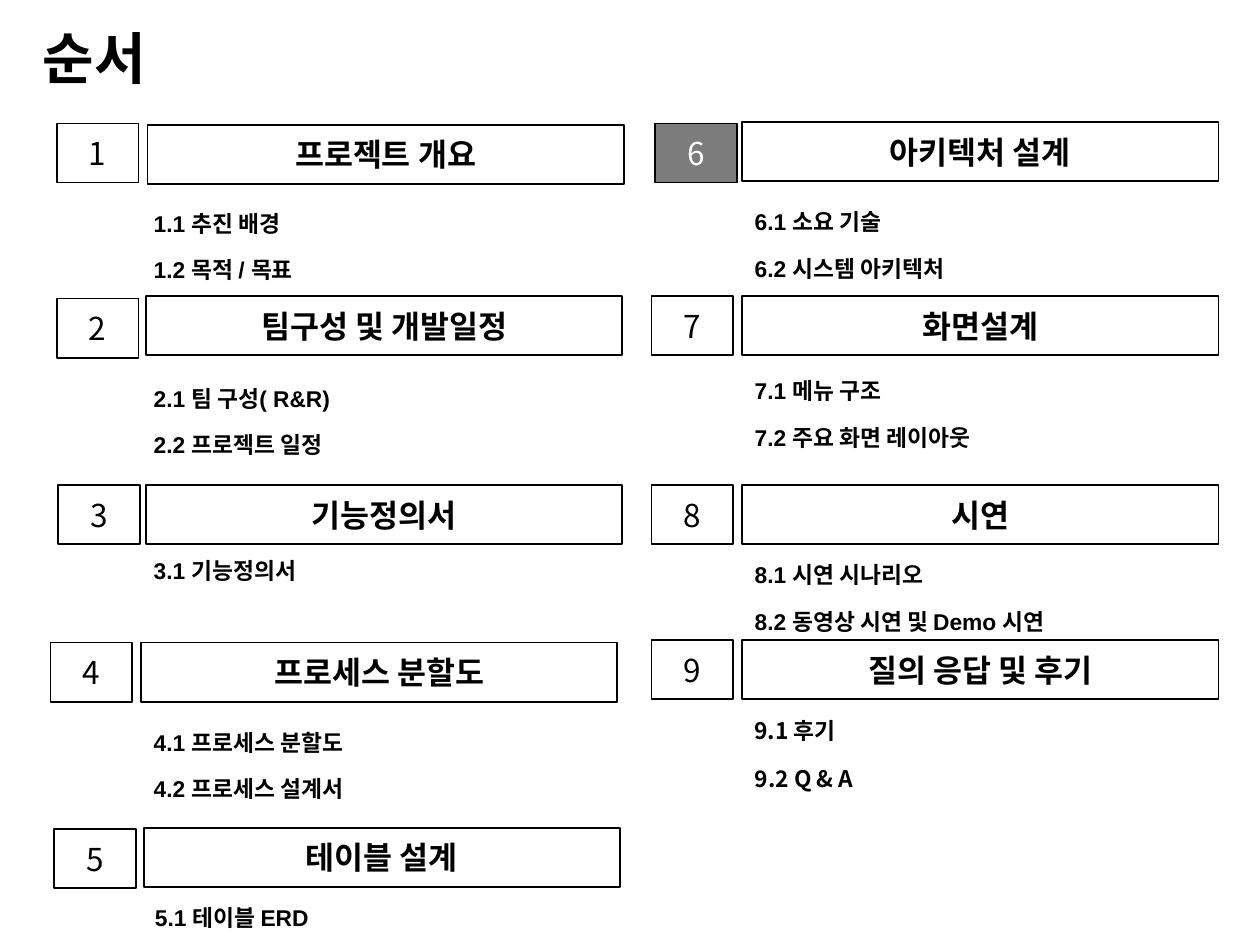
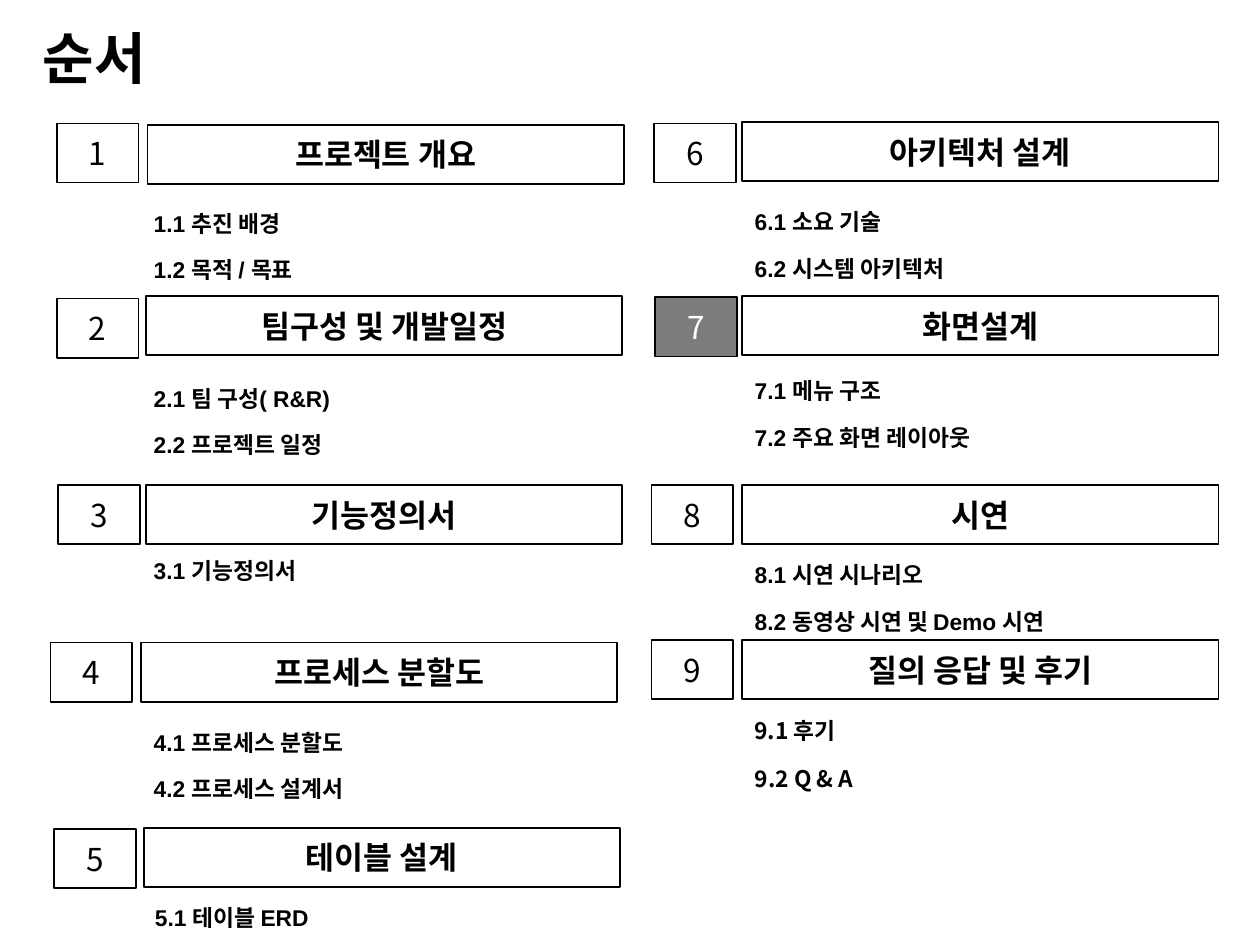
import collections

import lxml.etree
import pptx
import pptx.dml.color
import pptx.enum.shapes
import pptx.enum.text
import pptx.oxml.ns
import pptx.util

PX = 9144  # EMU per px, 100 px to the inch
COLORS = {"ink": "000000", "active": "7C7C7C", "paper": "FFFFFF"}
SANS, ARIAL = "Noto Sans CJK KR", "Arial"
BADGE_W, BAR_W, BOX_H = 65, 378, 47
ACTIVE_BADGE_X = 520

ALIGN = pptx.enum.text.PP_ALIGN
ANCHOR = pptx.enum.text.MSO_ANCHOR
AUTO_SIZE = pptx.enum.text.MSO_AUTO_SIZE

Section = collections.namedtuple("Section", "number badge bar title")
ItemList = collections.namedtuple("ItemList", "at lines font", defaults=[ARIAL])

SECTIONS = [
    Section(1, (45, 98), (117, 99), "프로젝트 개요"),
    Section(2, (45, 237), (116, 235), "팀구성 및 개발일정"),
    Section(3, (46, 385), (116, 385), "기능정의서"),
    Section(4, (40, 510), (112, 510), "프로세스 분할도"),
    Section(5, (43, 658), (114, 657), "테이블 설계"),
    Section(6, (519, 98), (589, 97), "아키텍처 설계"),
    Section(7, (517, 235), (589, 235), "화면설계"),
    Section(8, (517, 385), (589, 385), "시연"),
    Section(9, (517, 508), (589, 508), "질의 응답 및 후기"),
]

ITEM_LISTS = [
    ItemList((115, 157, 378, 76), [" 1.1 추진 배경", " 1.2 목적 / 목표"]),
    ItemList((120, 296, 378, 75), ["2.1 팀 구성( R&R)", "2.2 프로젝트 일정"]),
    ItemList((120, 433, 378, 36), ["3.1 기능정의서"]),
    ItemList((120, 569, 378, 75), ["4.1 프로세스 분할도", "4.2 프로세스 설계서"]),
    ItemList((121, 708, 378, 36), ["5.1 테이블 ERD"]),
    ItemList((597, 156, 374, 76), ["6.1 소요 기술", "6.2 시스템 아키텍처"]),
    ItemList((597, 290, 374, 76), ["7.1 메뉴 구조", "7.2 주요 화면 레이아웃"]),
    ItemList((597, 436, 374, 76), ["8.1 시연 시나리오", "8.2 동영상 시연 및 Demo 시연"]),
    ItemList((597, 598, 371, 36), ["9.2 Q & A"], SANS),
]


def px(*lengths):
    return [pptx.util.Emu(n * PX) for n in lengths]


def rgb(name):
    return pptx.dml.color.RGBColor.from_string(COLORS[name])


class AgendaDeck:
    def __init__(self):
        self.prs = pptx.Presentation()
        self.prs.slide_width, self.prs.slide_height = px(1000, 750)
        self.s = None

    def new_slide(self, title):
        self.s = self.prs.slides.add_slide(self.prs.slide_layouts[5])
        sp = self.s.shapes.title
        sp.left, sp.top, sp.width, sp.height = px(24, 15, 112, 67)
        tf = sp.text_frame
        tf.auto_size = AUTO_SIZE.NONE
        tf.vertical_anchor = ANCHOR.MIDDLE
        p = tf.paragraphs[0]
        p.alignment = ALIGN.LEFT
        p.line_spacing = 0.9
        self.run(p, title, 32)

    def run(self, p, text, size, font=SANS, color="ink", bold=True):
        r = p.add_run()
        r.text = text
        r.font.name = font
        r.font.size = pptx.util.Pt(size)
        r.font.bold = bold
        r.font.color.rgb = rgb(color)
        east_asian = lxml.etree.SubElement(r.font._element, pptx.oxml.ns.qn("a:ea"))
        east_asian.set("typeface", SANS)

    def box(self, at, width, text, bold=True, fill=None, color="ink"):
        """Outlined rectangle with one centred line of text."""
        sp = self.s.shapes.add_shape(
            pptx.enum.shapes.MSO_SHAPE.RECTANGLE, *px(*at, width, BOX_H))
        sp.shadow.inherit = False
        if fill:
            sp.fill.solid()
            sp.fill.fore_color.rgb = rgb(fill)
        else:
            sp.fill.background()
        sp.line.color.rgb = rgb("ink")
        sp.line.width = pptx.util.Pt(1)
        tf = sp.text_frame
        tf.vertical_anchor = ANCHOR.MIDDLE
        p = tf.paragraphs[0]
        p.alignment = ALIGN.CENTER
        self.run(p, text, 18, color=color, bold=bold)

    def section(self, section, active):
        self.box(section.bar, BAR_W, section.title)
        if active:
            at = (ACTIVE_BADGE_X, section.bar[1] + 1)
            self.box(at, BADGE_W, str(section.number), False, "active", "paper")
        else:
            self.box(section.badge, BADGE_W, str(section.number), False)

    def text_box(self, at, wrap):
        tf = self.s.shapes.add_textbox(*px(*at)).text_frame
        tf.word_wrap = wrap
        tf.auto_size = AUTO_SIZE.SHAPE_TO_FIT_TEXT
        return tf

    def item_list(self, items):
        tf = self.text_box(items.at, True)
        tf.margin_left, tf.margin_right = px(2, 2)
        for i, line in enumerate(items.lines):
            p = tf.add_paragraph() if i else tf.paragraphs[0]
            p.alignment = ALIGN.JUSTIFY
            p.line_spacing = 1.2
            self.space_before_percent(p, 60)
            self.run(p, line, 13, items.font)

    def space_before_percent(self, p, percent):
        p.space_before = pptx.util.Pt(0)
        spacing = p._p.pPr.find(pptx.oxml.ns.qn("a:spcBef"))
        spacing.remove(spacing[0])
        share = lxml.etree.SubElement(spacing, pptx.oxml.ns.qn("a:spcPct"))
        share.set("val", str(percent * 1000))

    def label(self, at, text):
        self.run(self.text_box(at, False).paragraphs[0], text, 13)


def main():
    deck = AgendaDeck()
    for active_number in (6, 7):
        deck.new_slide("순서")
        for items in ITEM_LISTS:
            deck.item_list(items)
        deck.label((589, 564, 89, 32), "9.1 후기")
        for section in SECTIONS:
            deck.section(section, section.number == active_number)
    deck.prs.save("out.pptx")


if __name__ == "__main__":
    main()
